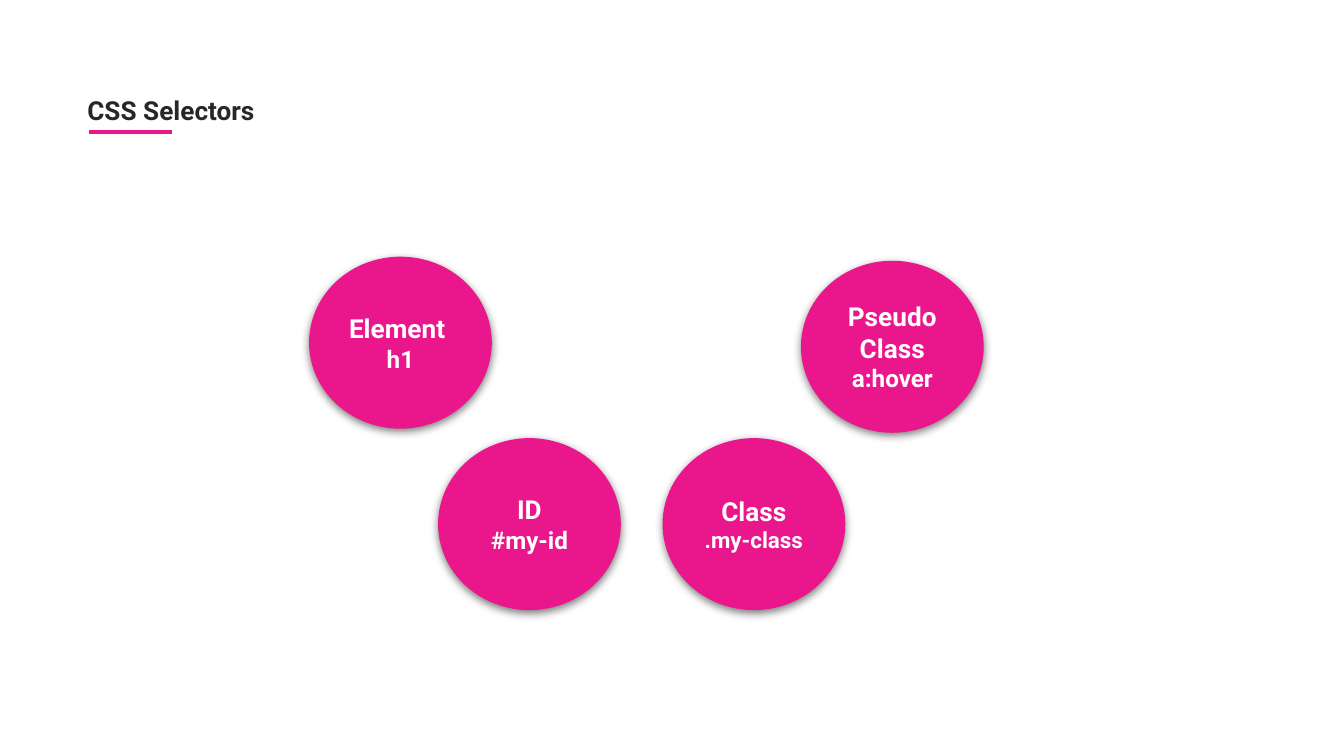
from lxml.etree import SubElement
from pptx import Presentation
from pptx.dml.color import RGBColor
from pptx.enum.shapes import MSO_CONNECTOR as CONN, MSO_SHAPE as SHAPE
from pptx.enum.text import MSO_ANCHOR as ANCHOR, MSO_AUTO_SIZE as AUTOSIZE, PP_ALIGN as ALIGN
from pptx.oxml.ns import qn
from pptx.util import Inches, Pt

PINK = RGBColor(0xEA, 0x16, 0x8C)
DARK = RGBColor(0x27, 0x27, 0x27)
WHITE = RGBColor(0xFF, 0xFF, 0xFF)
BLACK = RGBColor(0x00, 0x00, 0x00)
FONT = "Roboto"
TITLE_BOX = (0.55, 0.6, 1.67, 0.38)
DIAGRAM_BOX = (2.3, 1.91, 5.02, 2.63)
CIRCLE_W, CIRCLE_H = 1.36, 1.28
LOWER = 1.35
SELECTORS = [
    (0, 0, "Element", "h1", 13, ALIGN.LEFT),
    (0.96, LOWER, "ID", "#my-id", 13, ALIGN.CENTER),
    (2.63, LOWER, "Class", ".my-class", 12, ALIGN.CENTER),
    (3.66, 0.03, "Pseudo\vClass", "a:hover", 13, ALIGN.CENTER),
]


def set_frame(tf, anchor):
    """Give a text frame even insets, wrapping and an anchor."""
    tf.margin_left = tf.margin_right = tf.margin_top = tf.margin_bottom = Inches(0.1)
    tf.word_wrap = True
    tf.auto_size = AUTOSIZE.NONE
    tf.vertical_anchor = anchor


def set_paragraph(p, text, size, color, align):
    """Write one bold paragraph."""
    p.text = text
    p.alignment = align
    p.font.name = FONT
    p.font.size = Pt(size)
    p.font.bold = True
    p.font.color.rgb = color


def add_shadow(sp):
    """Cast a soft half-transparent shadow straight down."""
    sp.shadow.inherit = False
    effects = sp._element.spPr.find(qn("a:effectLst"))
    shadow = SubElement(effects, qn("a:outerShdw"), blurRad=str(Pt(4.5)), dist=str(Pt(1.5)),
                        dir="5400000", algn="bl", rotWithShape="0")
    color = SubElement(shadow, qn("a:srgbClr"), val=str(BLACK))
    SubElement(color, qn("a:alpha"), val="50000")


def add_title(s, text, box):
    """Place the title in its box with a short rule along the bottom edge."""
    left, top, width, height = box
    y = Inches(top + height)
    rule = s.shapes.add_connector(CONN.STRAIGHT, Inches(left + 0.11), y, Inches(left + 0.73), y)
    rule.line.color.rgb = PINK
    rule.line.width = Pt(2.25)
    SubElement(rule._element.spPr, qn("a:effectLst"))
    title = s.shapes.title
    title.left, title.top, title.width, title.height = map(Inches, box)
    set_frame(title.text_frame, ANCHOR.TOP)
    set_paragraph(title.text_frame.paragraphs[0], text, 14, DARK, ALIGN.LEFT)


def add_circle(s, box, name, example, size, align):
    """Draw one selector circle with its name above an example."""
    sp = s.shapes.add_shape(SHAPE.OVAL, *map(Inches, box))
    sp.fill.solid()
    sp.fill.fore_color.rgb = PINK
    sp.line.fill.background()
    add_shadow(sp)
    tf = sp.text_frame
    set_frame(tf, ANCHOR.MIDDLE)
    set_paragraph(tf.paragraphs[0], name, 14, WHITE, align)
    set_paragraph(tf.add_paragraph(), example, size, WHITE, ALIGN.CENTER)


def add_diagram(s, box):
    """Arrange the selector circles in a V within the box."""
    left, top = box[:2]
    for dx, dy, *content in SELECTORS:
        add_circle(s, (left + dx, top + dy, CIRCLE_W, CIRCLE_H), *content)


def main():
    """Build and save the slide."""
    prs = Presentation()
    prs.slide_width = Inches(10)
    prs.slide_height = prs.slide_width * 9 // 16
    s = prs.slides.add_slide(prs.slide_layouts[5])
    s.background.fill.solid()
    s.background.fill.fore_color.rgb = WHITE
    add_title(s, "CSS Selectors", TITLE_BOX)
    add_diagram(s, DIAGRAM_BOX)
    prs.save("out.pptx")


if __name__ == "__main__":
    main()
